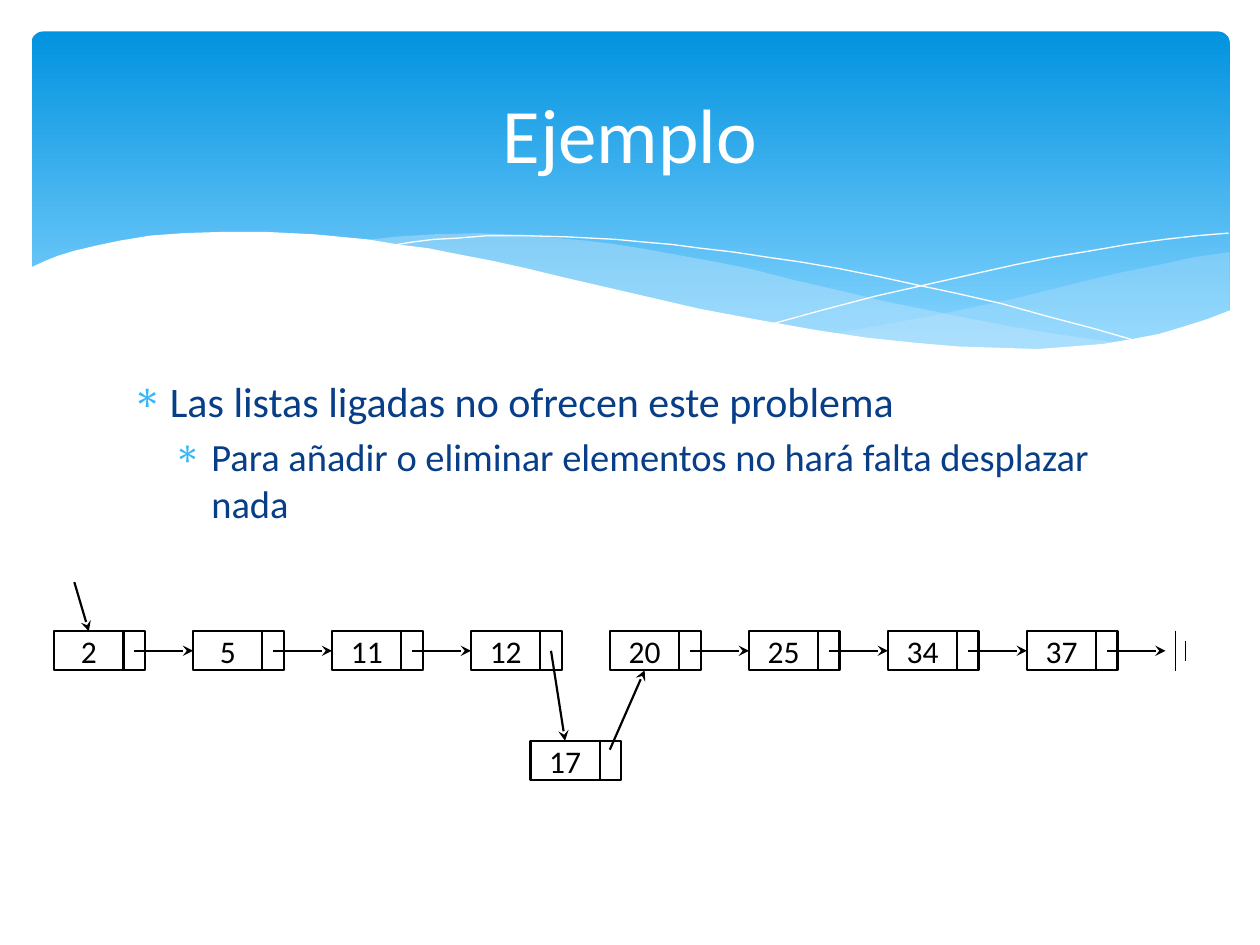
import pptx
import pptx.util
import pptx.dml.color
import pptx.enum.shapes
import pptx.enum.text
import pptx.oxml
import pptx.oxml.ns

Inches, Pt = pptx.util.Inches, pptx.util.Pt
RGB = pptx.dml.color.RGBColor.from_string
MSO = pptx.enum.shapes.MSO_SHAPE
ALIGN = pptx.enum.text.PP_ALIGN
MIDDLE = pptx.enum.text.MSO_ANCHOR.MIDDLE
NS = pptx.oxml.ns.nsdecls("a")
COLORS = {"top": "0293E0", "base": "83D3FE", "wave": "C6E7FC", "white": "FFFFFF",
          "text": "073E87", "bullet": "31B6FD", "ink": "000000"}


def write(para, text, size=18, color="ink", align=ALIGN.CENTER, left=None):
    """Fill a paragraph; with left (inches) it becomes a bulleted item."""
    run = para.add_run()
    run.text = text
    run.font.name = "Calibri"
    run.font.size = Pt(size)
    run.font.color.rgb = RGB(COLORS[color])
    para.alignment = align
    if left is not None:
        para.space_before = Pt(size * 0.2)
        props = para._p.get_or_add_pPr()
        props.set("marL", str(Inches(left)))
        props.set("indent", str(Inches(-0.3)))
        for xml in (f'<a:buClr {NS}><a:srgbClr val="{COLORS["bullet"]}"/></a:buClr>',
                    f'<a:buChar {NS} char="∗"/>'):
            props.append(pptx.oxml.parse_xml(xml))


def link(start, end, goal=None, side=1, width=1.25, arrow=True):
    """Draw a line, joined to a side of the goal box if one is given."""
    line = slide.shapes.add_connector(pptx.enum.shapes.MSO_CONNECTOR.STRAIGHT,
                                      *map(Inches, start + end))
    line.line.color.rgb = RGB(COLORS["ink"])
    line.line.width = Pt(width)
    if goal is not None:
        line.end_connect(goal, side)
    if arrow:
        line.line._get_or_add_ln().append(
            pptx.oxml.parse_xml(f'<a:tailEnd {NS} type="stealth"/>'))
    line._element.spPr.append(pptx.oxml.parse_xml(f"<a:effectLst {NS}/>"))


deck = pptx.Presentation()
deck.slide_width, deck.slide_height = Inches(10), Inches(7.5)
slide = deck.slides.add_slide(deck.slide_layouts[6])

# Banner with its gradient
banner = slide.shapes.add_shape(MSO.ROUNDED_RECTANGLE, *map(Inches, (0.25, 0.25, 9.51, 2.7)))
banner.adjustments[0] = 0.034
banner.shadow.inherit = False
banner.line.fill.background()
banner.fill.gradient()
banner.fill.gradient_angle = 270
for stop, name, place in zip(banner.fill.gradient_stops, ("top", "base"), (0, 0.9)):
    stop.color.rgb = RGB(COLORS[name])
    stop.position = place

# Waves: points, fill colour (None for a thin curve), opacity in percent
right = [(9.76, 2), (9.48, 2.04), (9.21, 2.1), (8.91, 2.16), (8.61, 2.23), (8.05, 2.37),
         (7.53, 2.48), (7.06, 2.57), (6.61, 2.65), (6.91, 2.69), (7.19, 2.72),
         (7.45, 2.75), (7.81, 2.77), (8.14, 2.78), (8.44, 2.77), (8.72, 2.74),
         (8.97, 2.7), (9.21, 2.65), (9.42, 2.59), (9.63, 2.52), (9.76, 2.47)]
middle = [(8.93, 2.73), (8.66, 2.69), (8.37, 2.65), (8.07, 2.6), (7.75, 2.54),
          (7.41, 2.47), (7.06, 2.4), (6.68, 2.31), (6.29, 2.22), (5.98, 2.14),
          (5.69, 2.08), (5.41, 2.03), (5.14, 1.98), (4.89, 1.94), (4.65, 1.91),
          (4.42, 1.89), (4.2, 1.87), (3.8, 1.85), (3.44, 1.86), (3.13, 1.88),
          (2.86, 1.91), (3.23, 1.96), (3.62, 2.03), (4.04, 2.11), (4.49, 2.22),
          (4.91, 2.32), (5.3, 2.4), (5.66, 2.48), (6.01, 2.55), (6.34, 2.61),
          (6.65, 2.66), (6.95, 2.7), (7.22, 2.74), (7.48, 2.76), (7.73, 2.77),
          (7.96, 2.78), (8.28, 2.78), (8.57, 2.77), (8.76, 2.75)]
falling = [(3.09, 1.95), (3.28, 1.92), (3.44, 1.9), (3.63, 1.89), (3.87, 1.87),
           (4.16, 1.87), (4.5, 1.88), (4.89, 1.9), (5.1, 1.92), (5.33, 1.94),
           (5.56, 1.97), (5.82, 2), (6.08, 2.04), (6.36, 2.08), (6.65, 2.13),
           (6.95, 2.19), (7.27, 2.26), (7.6, 2.33), (7.95, 2.41), (8.31, 2.51),
           (8.69, 2.61), (9.07, 2.72)]
rising = [(6.13, 2.57), (6.53, 2.46), (6.95, 2.35), (7.48, 2.23), (8.06, 2.1),
          (8.36, 2.04), (8.66, 1.99), (8.95, 1.94), (9.24, 1.9), (9.51, 1.87), (9.75, 1.85)]
front = [(9.77, 2.46), (9.59, 2.53), (9.4, 2.59), (9.2, 2.65), (8.99, 2.69), (8.75, 2.73),
         (8.5, 2.75), (8.23, 2.77), (7.93, 2.76), (7.61, 2.75), (7.26, 2.72), (6.88, 2.68),
         (6.48, 2.62), (6.03, 2.54), (5.55, 2.45), (5.03, 2.33), (4.47, 2.2), (4.18, 2.13),
         (3.91, 2.07), (3.65, 2.02), (3.4, 1.97), (3.16, 1.94), (2.92, 1.9), (2.71, 1.88),
         (2.5, 1.86), (2.11, 1.84), (1.77, 1.84), (1.46, 1.85), (1.19, 1.87), (0.95, 1.91),
         (0.76, 1.95), (0.59, 1.99), (0.46, 2.03), (0.36, 2.07), (0.23, 2.13),
         (0.23, 3.29), (9.77, 3.29)]
for points, fill, alpha in ((right, "wave", 29), (middle, "wave", 40), (falling, None, 100),
                            (rising, None, 100), (front, "white", 100)):
    spots = [(Inches(x), Inches(y)) for x, y in points]
    pen = slide.shapes.build_freeform(*spots[0])
    pen.add_line_segments(spots[1:], close=fill is not None)
    wave = pen.convert_to_shape()
    wave.shadow.inherit = False
    if fill is None:
        wave.fill.background()
        wave.line.color.rgb = RGB(COLORS["white"])
        wave.line.width = Pt(0)
        continue
    wave.line.fill.background()
    wave.fill.solid()
    wave.fill.fore_color.rgb = RGB(COLORS[fill])
    if alpha < 100:
        tint = wave._element.spPr.find(".//" + pptx.oxml.ns.qn("a:srgbClr"))
        tint.append(pptx.oxml.parse_xml(f'<a:alpha {NS} val="{alpha * 1000}"/>'))

# Body and title
body = slide.shapes.add_textbox(*map(Inches, (0.95, 2.93, 8.1, 3.77))).text_frame
body.word_wrap = True
write(body.paragraphs[0], "Las listas ligadas no ofrecen este problema",
      size=24, color="text", align=ALIGN.LEFT, left=0.3)
item = body.add_paragraph()
item.level = 1
write(item, "Para añadir o eliminar elementos no hará falta desplazar nada",
      size=22, color="text", align=ALIGN.LEFT, left=0.63)
title = slide.shapes.add_textbox(*map(Inches, (0.5, 0.37, 9, 1.37))).text_frame
title.word_wrap = True
title.vertical_anchor = MIDDLE
write(title.paragraphs[0], "Ejemplo", size=44, color="white")

# List nodes: a value cell and a pointer cell each
wide, slim, high = 0.55, 0.17, 0.31
row, low = 5.01, 5.88
step = (8.15 - 0.43) / 7
values = ["2", "5", "11", "12", "20", "25", "34", "37"]
nodes = [(value, 0.43 + i * step, row) for i, value in enumerate(values)]
nodes.append(("17", 4.21, low))
cells = {}
for value, x, y in nodes:
    for text, left, width in ((value, x, wide), ("", x + wide, slim)):
        cell = slide.shapes.add_shape(MSO.RECTANGLE, *map(Inches, (left, y, width, high)))
        cell.shadow.inherit = False
        cell.fill.background()
        cell.line.color.rgb = RGB(COLORS["ink"])
        cell.line.width = Pt(1.25)
        if text:
            frame = cell.text_frame
            frame.margin_left = frame.margin_right = 0
            frame.margin_top = frame.margin_bottom = 0
            frame.vertical_anchor = MIDDLE
            write(frame.paragraphs[0], text)
            cells[text] = cell

# Pointers along the row, with the detour through the new node
mid = row + high / 2
for i, (value, x, y) in enumerate(nodes[:-1]):
    start = (x + wide + slim / 2, mid)
    if value == "12":
        link(start, (4.49, low), cells["17"], side=0)
    elif value == values[-1]:
        link(start, (9.25, mid))
    else:
        link(start, (x + step, mid), cells[values[i + 1]])
link((0.59, 4.62), (0.71, row), cells["2"], side=0)
link((4.84, 5.95), (5.12, row + high), cells["20"], side=2)

# End mark
for x, half in ((9.33, 0.16), (9.41, 0.08)):
    link((x, mid - half), (x, mid + half), width=0.75, arrow=False)

deck.save("out.pptx")
